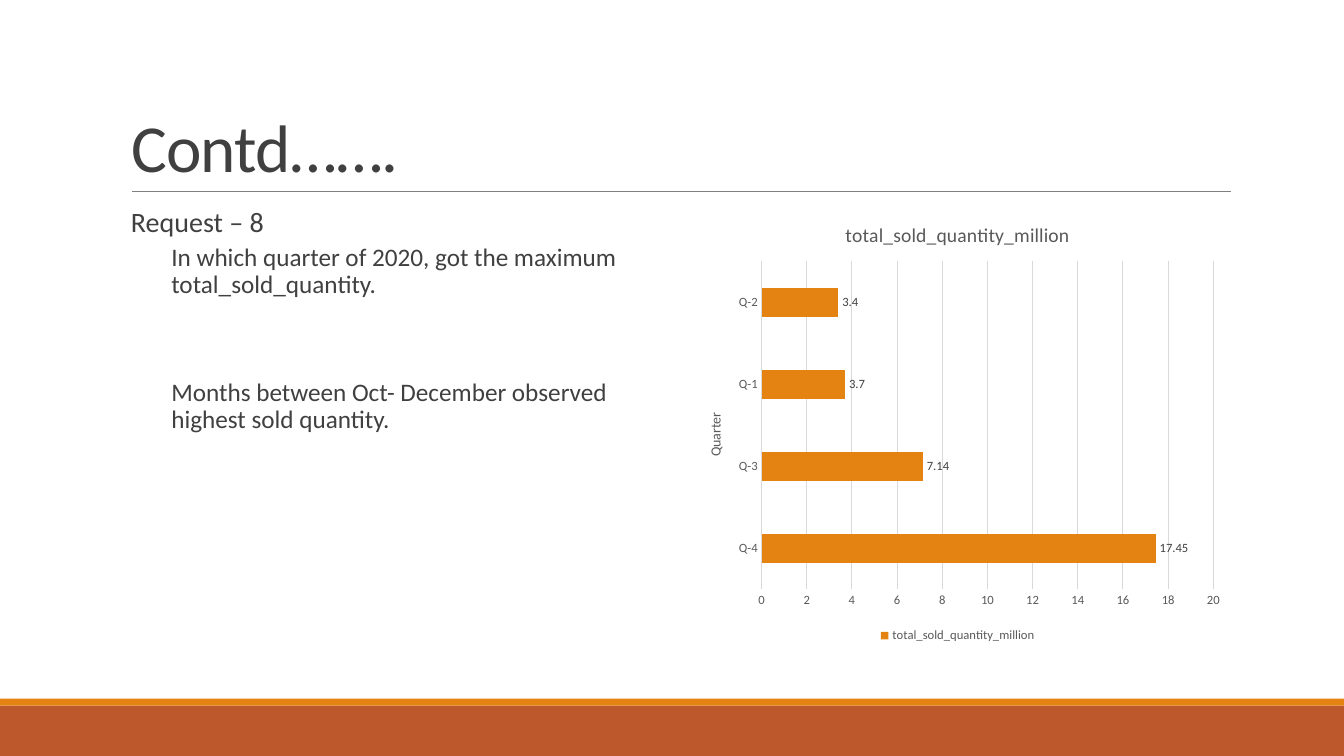
from lxml import etree
from pptx import Presentation
from pptx import util as u
from pptx.chart import data as cd
from pptx.dml import color as dc
from pptx.enum import chart as ce, shapes, text
from pptx.oxml import ns, xmlchemy

ORANGE, RUST = "E48312", "BD582C"
INK, GRAY, GRID, RULE = "404040", "595959", "D9D9D9", "808080"


def rgb(code):
    return dc.RGBColor.from_string(code)


class Deck:
    face = "Calibri"

    def __init__(self, prs):
        self.slide = prs.slides.add_slide(prs.slide_layouts[5])
        self.shapes = self.slide.shapes

    def font(self, font, size, code):
        font.name = self.face
        font.size = u.Pt(size)
        font.bold = False
        font.color.rgb = rgb(code)

    def run(self, para, words, size, code):
        run = para.add_run()
        run.text = words
        self.font(run.font, size, code)
        return run

    def bar(self, top, high, code):
        box = self.shapes.add_shape(
            shapes.MSO_SHAPE.RECTANGLE, 0, u.Pt(top), u.Pt(960), u.Pt(high))
        box.shadow.inherit = False
        box.fill.solid()
        box.fill.fore_color.rgb = rgb(code)
        box.line.fill.background()

    def rule(self, left, right, top):
        line = self.shapes.add_connector(
            shapes.MSO_CONNECTOR.STRAIGHT,
            u.Pt(left), u.Pt(top), u.Pt(right), u.Pt(top))
        line.line.color.rgb = rgb(RULE)
        line.line.width = u.Pt(0.5)
        etree.SubElement(line._element.spPr, ns.qn("a:effectLst"))

    def title(self, words, left, top, wide, high):
        box = self.shapes.title
        box.left, box.top = u.Pt(left), u.Pt(top)
        box.width, box.height = u.Pt(wide), u.Pt(high)
        frame = box.text_frame
        frame.auto_size = text.MSO_AUTO_SIZE.NONE
        frame.vertical_anchor = text.MSO_ANCHOR.BOTTOM
        para = frame.paragraphs[0]
        para.alignment = text.PP_ALIGN.LEFT
        para.line_spacing = 0.85
        run = self.run(para, words, 48, INK)
        run.font._element.set("spc", "-50")

    def body(self, items, left, top, wide, high):
        box = self.shapes.add_textbox(
            u.Pt(left), u.Pt(top), u.Pt(wide), u.Pt(high))
        frame = box.text_frame
        frame.word_wrap = True
        frame.margin_left = frame.margin_right = 0
        for i, (words, size, inset, before, after) in enumerate(items):
            para = frame.add_paragraph() if i else frame.paragraphs[0]
            para.line_spacing = 0.9
            para.space_before, para.space_after = u.Pt(before), u.Pt(after)
            para._p.get_or_add_pPr().set("marL", str(u.Pt(inset)))
            self.run(para, words, size, INK)

    def chart(self, name, cats, vals, axis, left, top, wide, high):
        data = cd.CategoryChartData()
        data.categories = cats
        data.add_series(name, vals)
        chart = self.shapes.add_chart(
            ce.XL_CHART_TYPE.BAR_CLUSTERED,
            u.Pt(left), u.Pt(top), u.Pt(wide), u.Pt(high), data).chart
        self.font(chart.font, 10, "000000")
        chart.has_title = True
        self.run(chart.chart_title.text_frame.paragraphs[0], name, 14, GRAY)
        chart.has_legend = True
        chart.legend.position = ce.XL_LEGEND_POSITION.BOTTOM
        chart.legend.include_in_layout = False
        self.font(chart.legend.font, 9, GRAY)
        self.plot(chart.plots[0])
        self.axes(chart.category_axis, chart.value_axis, axis)
        self.place(chart, 0.14, 0.13, 0.83, 0.74)

    def plot(self, plot):
        plot.gap_width = 182
        plot.vary_by_categories = False
        bars = plot.series[0]
        bars.format.fill.solid()
        bars.format.fill.fore_color.rgb = rgb(ORANGE)
        marks = bars.data_labels
        marks.show_value = True
        marks.position = ce.XL_LABEL_POSITION.OUTSIDE_END
        self.font(marks.font, 9, INK)

    def axes(self, cat, val, name):
        for axis in (cat, val):
            axis.major_tick_mark = ce.XL_TICK_MARK.NONE
            axis.minor_tick_mark = ce.XL_TICK_MARK.NONE
            self.font(axis.tick_labels.font, 9, GRAY)
        cat.has_major_gridlines = False
        val.has_major_gridlines = True
        for line in (cat.format.line, val.major_gridlines.format.line):
            line.color.rgb = rgb(GRID)
            line.width = u.Pt(0.75)
        val.format.line.fill.background()
        val.minimum_scale, val.maximum_scale, val.major_unit = 0, 20, 2
        frame = cat.axis_title.text_frame
        self.run(frame.paragraphs[0], name, 10, GRAY)
        turn = frame._txBody.find(ns.qn("a:bodyPr"))
        turn.set("rot", "-5400000")
        turn.set("vert", "horz")

    def place(self, chart, *sides):
        area = chart._chartSpace.chart.plotArea
        for old in area.findall(ns.qn("c:layout")):
            area.remove(old)
        lay = xmlchemy.OxmlElement("c:layout")
        area.insert(0, lay)
        man = etree.SubElement(lay, ns.qn("c:manualLayout"))
        tags = ("layoutTarget", "xMode", "yMode", "x", "y", "w", "h")
        for tag, val in zip(tags, ("inner", "edge", "edge", *sides)):
            etree.SubElement(man, ns.qn("c:" + tag)).set("val", str(val))


def main():
    prs = Presentation()
    prs.slide_width, prs.slide_height = u.Pt(960), u.Pt(540)
    deck = Deck(prs)
    deck.bar(504, 36, RUST)
    deck.bar(499, 5, ORANGE)
    deck.rule(94.3, 879.1, 136.8)
    deck.title("Contd…….", 86.4, 22.3, 792, 114.5)
    deck.body([
        ("Request – 8", 20, 7.2, 12, 2),
        ("In which quarter of 2020, got the maximum total_sold_quantity.",
         18, 36, 2, 4),
        ("Months between Oct- December observed highest sold quantity.",
         18, 36, 53.6, 4),
    ], 86.4, 145.4, 388.8, 316.8)
    deck.chart("total_sold_quantity_million", ("Q-4", "Q-3", "Q-1", "Q-2"),
               (17.45, 7.14, 3.7, 3.4), "Quarter", 489.6, 145.4, 388.8, 316.8)
    prs.save("out.pptx")


if __name__ == "__main__":
    main()
